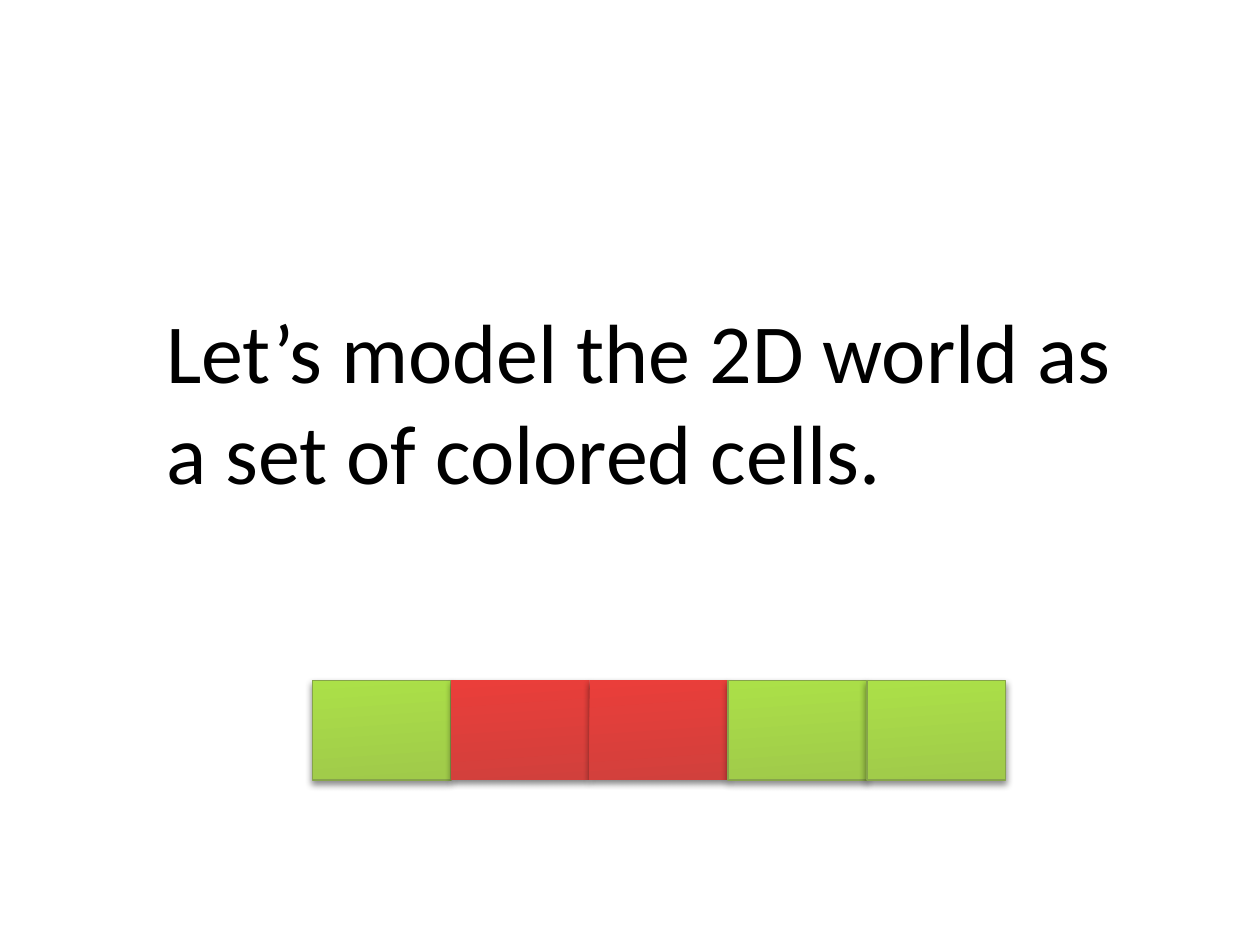
from dataclasses import dataclass

from lxml.etree import SubElement
from pptx import Presentation
from pptx.dml.color import RGBColor as RGB
from pptx.enum.shapes import MSO_SHAPE as Shape
from pptx.oxml.ns import qn
from pptx.util import Inches, Pt

MESSAGE = "Let’s model the 2D world as a set of colored cells."
CELLS = ["green", "red", "red", "green", "green"]


@dataclass(frozen=True)
class CellStyle:
    top: str
    bottom: str
    outline: str | None
    shadow_opacity: int


@dataclass(frozen=True)
class Theme:
    font: str = "Calibri"
    text: str = "000000"
    text_size: int = 48
    shadow: str = "000000"


THEME = Theme()
CELL_STYLES = {
    "green": CellStyle("ABE048", "A0CA4A", "86A44A", 46),
    "red": CellStyle("EA3E3A", "D1403C", None, 48),
}
ROW_LEFT, ROW_TOP = 2.48, 5.4
CELL_WIDTH, CELL_HEIGHT = 1.1, 0.79


def add_shadow(shape, opacity):
    """Drop a soft shadow straight down; opacity is in percent."""
    effects = SubElement(shape._element.spPr, qn("a:effectLst"))
    shadow = SubElement(effects, qn("a:outerShdw"), blurRad=str(Pt(4)),
                        dist=str(Pt(2)), dir="5400000", rotWithShape="0")
    color = SubElement(shadow, qn("a:srgbClr"), val=THEME.shadow)
    SubElement(color, qn("a:alpha"), val=str(opacity * 1000))


def add_cell(slide, column, style):
    cell = slide.shapes.add_shape(
        Shape.RECTANGLE, Inches(ROW_LEFT + column * CELL_WIDTH),
        Inches(ROW_TOP), Inches(CELL_WIDTH), Inches(CELL_HEIGHT))
    cell.fill.gradient()
    cell.fill.gradient_angle = 274  # counter-clockwise: nearly straight down
    stops = zip(cell.fill.gradient_stops, (style.top, style.bottom), (0, 1))
    for stop, color, position in stops:
        stop.color.rgb = RGB.from_string(color)
        stop.position = position
    if style.outline:
        cell.line.color.rgb = RGB.from_string(style.outline)
        cell.line.width = Pt(1)
    else:
        cell.line.fill.background()
    add_shadow(cell, style.shadow_opacity)


def add_message(slide):
    box = slide.shapes.add_textbox(
        Inches(1.22), Inches(2.33), Inches(8.04), Inches(1.72))
    box.text_frame.word_wrap = True
    box.text_frame.text = MESSAGE
    font = box.text_frame.paragraphs[0].runs[0].font
    font.name = THEME.font
    font.size = Pt(THEME.text_size)
    font.color.rgb = RGB.from_string(THEME.text)


def main():
    deck = Presentation()
    deck.slide_width, deck.slide_height = Inches(10), Inches(7.5)
    slide = deck.slides.add_slide(deck.slide_layouts[6])
    for column, color in enumerate(CELLS):
        add_cell(slide, column, CELL_STYLES[color])
    add_message(slide)
    deck.save("out.pptx")


if __name__ == "__main__":
    main()
